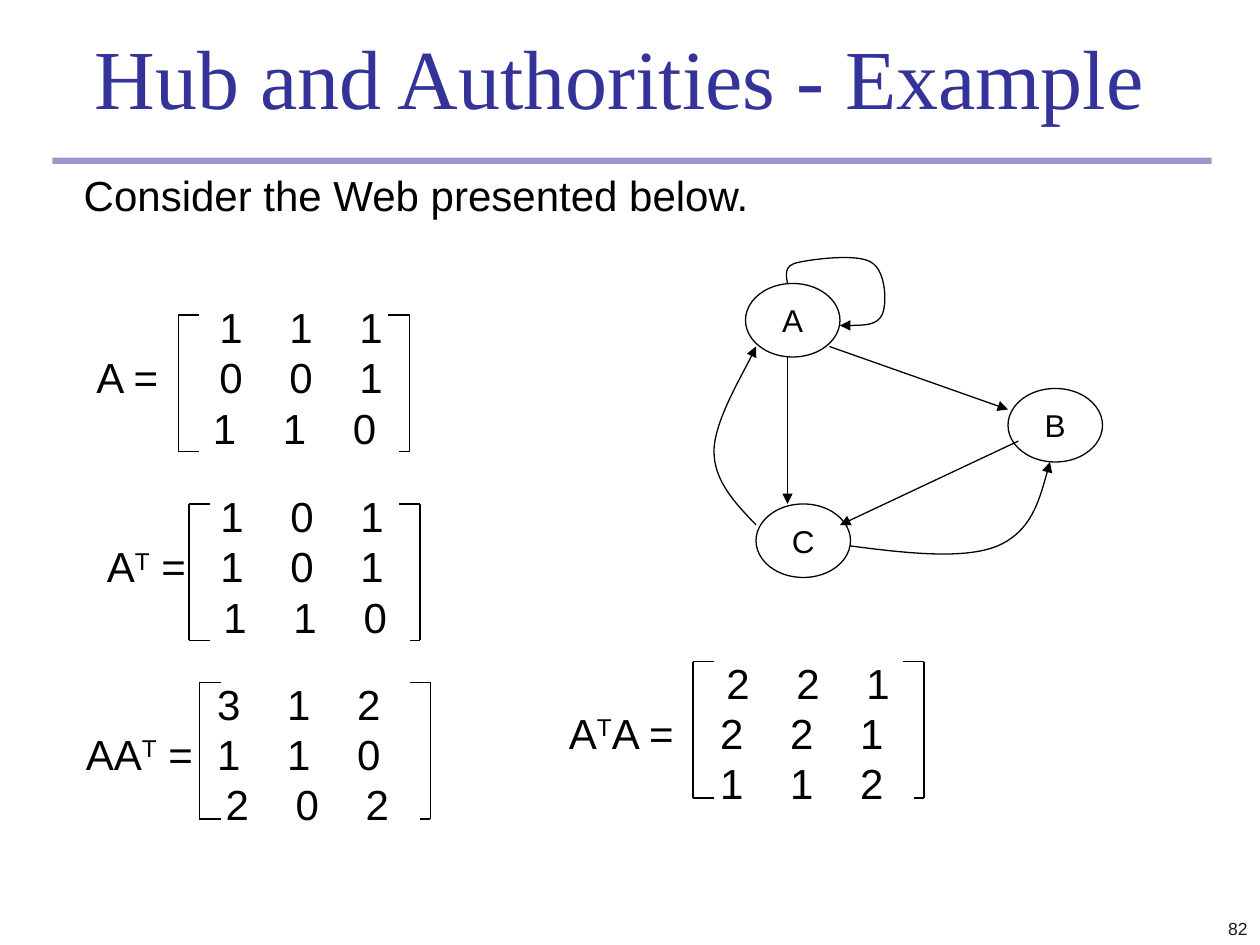
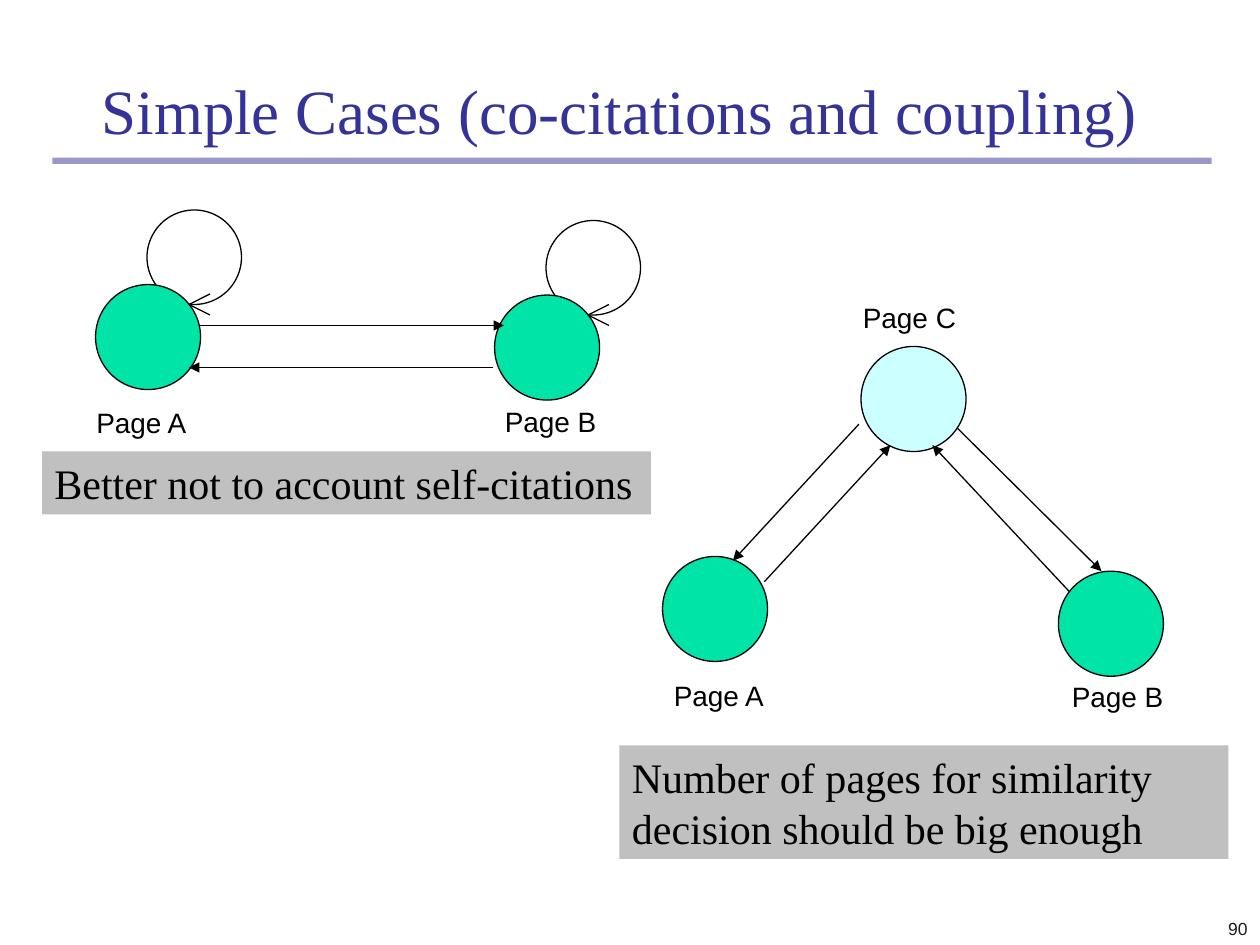
from dataclasses import dataclass
from typing import NamedTuple

from lxml import etree
from pptx import Presentation
from pptx.dml.color import RGBColor
from pptx.enum.shapes import MSO_CONNECTOR, MSO_SHAPE
from pptx.enum.text import MSO_ANCHOR, MSO_AUTO_SIZE, PP_ALIGN
from pptx.oxml.ns import qn
from pptx.util import Emu, Pt

OVAL, RECT = MSO_SHAPE.OVAL, MSO_SHAPE.RECTANGLE
STRAIGHT = MSO_CONNECTOR.STRAIGHT
TOP, MIDDLE, BOTTOM = MSO_ANCHOR.TOP, MSO_ANCHOR.MIDDLE, MSO_ANCHOR.BOTTOM
LEFT, CENTER, RIGHT = PP_ALIGN.LEFT, PP_ALIGN.CENTER, PP_ALIGN.RIGHT

WIDTH, HEIGHT = Emu(9144000), Emu(6858000)
COLUMNS, ROWS = 120, 90


@dataclass(frozen=True)
class Theme:
    sans: str = "Arial"
    serif: str = "Times New Roman"
    navy: str = "333399"
    black: str = "000000"
    white: str = "FFFFFF"
    number: str = "1C1C1C"
    green: str = "00E4A8"
    cyan: str = "CCFFFF"
    grey: str = "C0C0C0"
    body: int = 24
    node: int = 18
    label: int = 16
    small: int = 10
    stroke: float = 0.75
    alpha: int = 50000


THEME = Theme()


class Box(NamedTuple):
    x: float
    y: float
    w: float
    h: float


class Point(NamedTuple):
    x: float
    y: float


class Style(NamedTuple):
    size: int
    font: str = THEME.sans
    color: str = THEME.black


class Part(NamedTuple):
    text: str
    raised: bool = False


class Label(NamedTuple):
    text: str
    x: float
    y: float


class Matrix(NamedTuple):
    name: tuple[Part, ...]
    text_at: Point
    bracket: Point
    rows: tuple[str, str, str]
    starts: tuple[float, float, float]


class Link(NamedTuple):
    start: Point
    end: Point


BODY = Style(THEME.body)
NOTE = Style(THEME.body, THEME.serif)
EQUALS = Part(" =")
RAISED = Part("T", True)
PITCH = 6.67

MATRICES = (
    Matrix((Part("A ="),), Point(8, 28.1), Point(17, 30),
           ("111", "001", "110"), (11.7, 11.7, 11.1)),
    Matrix((Part("A"), RAISED, EQUALS), Point(9, 46.1), Point(18, 48),
           ("101", "101", "110"), (10.8, 10.8, 11.1)),
    Matrix((Part("AA"), RAISED, EQUALS), Point(7, 64), Point(19, 65),
           ("312", "110", "202"), (12.5, 12.5, 13.3)),
    Matrix((Part("A"), RAISED, Part("A =")), Point(53, 62), Point(66, 63),
           ("221", "221", "112"), (15, 14.4, 14.4)),
)
NODES = (Label("A", 71, 27), Label("C", 72, 48), Label("B", 96, 37))
LINKS = (
    Link(Point(75, 34), Point(75, 48)),
    Link(Point(97, 42), Point(80, 50)),
    Link(Point(79, 33), Point(96, 39)),
)
CURVES = (
    ((75, 27), (74.9, 26.2), (74.6, 25.3), (76, 25), (77.3, 24.7), (81.7, 24.1),
     (83, 25), (84.4, 25.8), (84.5, 29), (84, 30), (83.5, 31), (81.7, 31), (80, 31)),
    ((72, 50), (70, 47.9), (68, 45.8), (68, 43), (68, 40.2), (71.3, 34.7), (72, 33)),
    ((81, 52), (86.4, 52.7), (91.8, 53.3), (95, 52), (98.2, 50.6), (99.1, 47.3), (100, 44)),
)
PAGES = (
    Label("Page A", 8, 38), Label("Page B", 46.9, 37.9), Label("Page A", 63, 64),
    Label("Page B", 100.9, 64.1), Label("Page C", 81, 28),
)
CROSS = (Link(Point(19, 31), Point(48, 31)), Link(Point(47, 35), Point(18, 35)))
OUTWARD = (
    Link(Point(81.8, 40.4), Point(69.8, 53.4)),
    Link(Point(90.8, 40.4), Point(104.9, 54.4)),
)
INWARD = (
    Link(Point(72.8, 55.4), Point(84.8, 42.4)),
    Link(Point(101.9, 56.4), Point(88.8, 42.4)),
)


def across(units: float) -> Emu:
    return Emu(round(units * WIDTH / COLUMNS))


def down(units: float) -> Emu:
    return Emu(round(units * HEIGHT / ROWS))


def place(box: Box) -> tuple[Emu, Emu, Emu, Emu]:
    return across(box.x), down(box.y), across(box.w), down(box.h)


def paint(fill, color: str) -> None:
    fill.solid()
    fill.fore_color.rgb = RGBColor.from_string(color)


def stroke(shape, arrow: bool = False) -> None:
    shape.line.width = Pt(THEME.stroke)
    paint(shape.line.fill, THEME.black)
    if arrow:
        line = shape.line._get_or_add_ln()
        etree.SubElement(line, qn("a:tailEnd"), type="triangle")


def add_run(para, text: str, style: Style, raised: bool = False) -> None:
    run = para.add_run()
    run.text = text
    run.font.size = Pt(style.size)
    run.font.name = style.font
    run.font.color.rgb = RGBColor.from_string(style.color)
    if raised:
        run._r.get_or_add_rPr().set("baseline", "30000")


def write(shape, text: str, style: Style, align=LEFT, anchor=TOP, wrap: bool = True) -> None:
    frame = shape.text_frame
    frame.word_wrap = wrap
    frame.auto_size = MSO_AUTO_SIZE.NONE
    frame.vertical_anchor = anchor
    para = frame.paragraphs[0]
    para.alignment = align
    add_run(para, text, style)


def add_text(slide, box: Box, text: str, style: Style, align=LEFT, anchor=TOP) -> None:
    write(slide.shapes.add_textbox(*place(box)), text, style, align, anchor)


def add_form(slide, kind, box: Box, color: str | None = None, lined: bool = True):
    shape = slide.shapes.add_shape(kind, *place(box))
    shape.shadow.inherit = False
    if color:
        paint(shape.fill, color)
    else:
        shape.fill.background()
    if lined:
        stroke(shape)
    else:
        shape.line.fill.background()
    return shape


def add_line(slide, link: Link, arrow: bool = False) -> None:
    start, end = link
    line = slide.shapes.add_connector(
        STRAIGHT, across(start.x), down(start.y), across(end.x), down(end.y))
    stroke(line, arrow)
    etree.SubElement(line._element.spPr, qn("a:effectLst"))


def add_curve(slide, points: tuple[tuple[float, float], ...]) -> None:
    first, *rest = [(across(x), down(y)) for x, y in points]
    maker = slide.shapes.build_freeform(*first)
    maker.add_line_segments(rest, close=False)
    shape = maker.convert_to_shape()
    shape.shadow.inherit = False
    shape.fill.background()
    stroke(shape, True)
    steps = list(shape._element.iter(qn("a:lnTo")))
    for index in range(0, len(steps), 3):
        trace = steps[index].getparent()
        bend = etree.SubElement(trace, qn("a:cubicBezTo"))
        for step in steps[index:index + 3]:
            bend.append(step[0])
            trace.remove(step)


def set_tabs(para, start: float) -> None:
    tabs = etree.SubElement(para._p.get_or_add_pPr(), qn("a:tabLst"))
    for index in range(3):
        etree.SubElement(tabs, qn("a:tab"), pos=str(across(start + index * PITCH)), algn="l")


def add_matrix(slide, matrix: Matrix) -> None:
    area = slide.shapes.add_textbox(*place(Box(*matrix.text_at, 34, 15.6)))
    frame = area.text_frame
    frame.word_wrap = True
    for index, (row, start) in enumerate(zip(matrix.rows, matrix.starts)):
        para = frame.add_paragraph() if index else frame.paragraphs[0]
        set_tabs(para, start)
        if index == 1:
            for part in matrix.name:
                add_run(para, part.text, BODY, part.raised)
        add_run(para, "\t" + "\t".join(row), BODY)
    x, y = matrix.bracket
    right, base = x + 22, y + 13
    for side, top_foot, base_foot in ((x, 2, 2), (right, -2, -1)):
        top, low = Point(side, y), Point(side, base)
        add_line(slide, Link(top, low))
        add_line(slide, Link(top, Point(side + top_foot, y)))
        add_line(slide, Link(low, Point(side + base_foot, base)))


def add_disc(slide, x: float, y: float, color: str) -> None:
    add_form(slide, OVAL, Box(x, y, 10, 10), color)


def add_cycle(slide, x: float, y: float) -> None:
    add_form(slide, OVAL, Box(x, y, 9, 9))
    add_disc(slide, x - 4.9, y + 7.1, THEME.green)
    tip = Point(x + 4, y + 9)
    for rise in (-1, 1):
        add_line(slide, Link(tip, Point(tip.x + 2, tip.y + rise)))


def add_note(slide, box: Box, text: str) -> None:
    write(add_form(slide, RECT, box, THEME.grey, False), text, NOTE)


def start_slide(deck, title: str, box: Box, size: int, number: str):
    slide = deck.slides.add_slide(deck.slide_layouts[5])
    band = add_form(slide, RECT, Box(5, 15, 110.4, 0.6), THEME.navy, False)
    tint = band._element.spPr.find(qn("a:solidFill"))[0]
    etree.SubElement(tint, qn("a:alpha"), val=str(THEME.alpha))
    head = slide.shapes.title
    head.left, head.top, head.width, head.height = place(box)
    frame = head.text_frame
    frame.margin_left = frame.margin_right = frame.margin_top = frame.margin_bottom = 0
    write(head, title, Style(size, THEME.serif, THEME.navy), CENTER, BOTTOM)
    add_text(slide, Box(95, 84, 25, 6), number,
             Style(THEME.small, color=THEME.number), RIGHT, BOTTOM)
    return slide


def draw_hubs(deck) -> None:
    slide = start_slide(deck, "Hub and Authorities - Example", Box(5, 3, 108, 9), 48, "82")
    add_text(slide, Box(6.8, 15.6, 66, 6), "Consider the Web presented below.", BODY)
    for node in NODES:
        shape = add_form(slide, OVAL, Box(node.x, node.y, 9, 7), THEME.white)
        write(shape, node.text, Style(THEME.node), CENTER, MIDDLE, False)
    for curve in CURVES:
        add_curve(slide, curve)
    for link in LINKS:
        add_line(slide, link, True)
    for matrix in MATRICES:
        add_matrix(slide, matrix)


def draw_cases(deck) -> None:
    slide = start_slide(deck, "Simple Cases (co-citations and coupling)",
                        Box(3, 4, 112, 10), 36, "90")
    add_cycle(slide, 14, 20)
    add_cycle(slide, 52, 21)
    add_disc(slide, 63.1, 53, THEME.green)
    add_disc(slide, 100.8, 54.4, THEME.green)
    for link in CROSS + OUTWARD:
        add_line(slide, link, True)
    add_disc(slide, 82, 33, THEME.cyan)
    for link in INWARD:
        add_line(slide, link, True)
    for page in PAGES:
        add_text(slide, Box(page.x, page.y, 11.3, 4.4), page.text, Style(THEME.label))
    add_note(slide, Box(4, 43, 58, 6), "Better not to account self-citations")
    add_note(slide, Box(59, 71, 58, 10.8),
             "Number of pages for similarity decision should be big enough")


def main() -> None:
    deck = Presentation()
    deck.slide_width, deck.slide_height = WIDTH, HEIGHT
    draw_hubs(deck)
    draw_cases(deck)
    deck.save("out.pptx")


if __name__ == "__main__":
    main()
